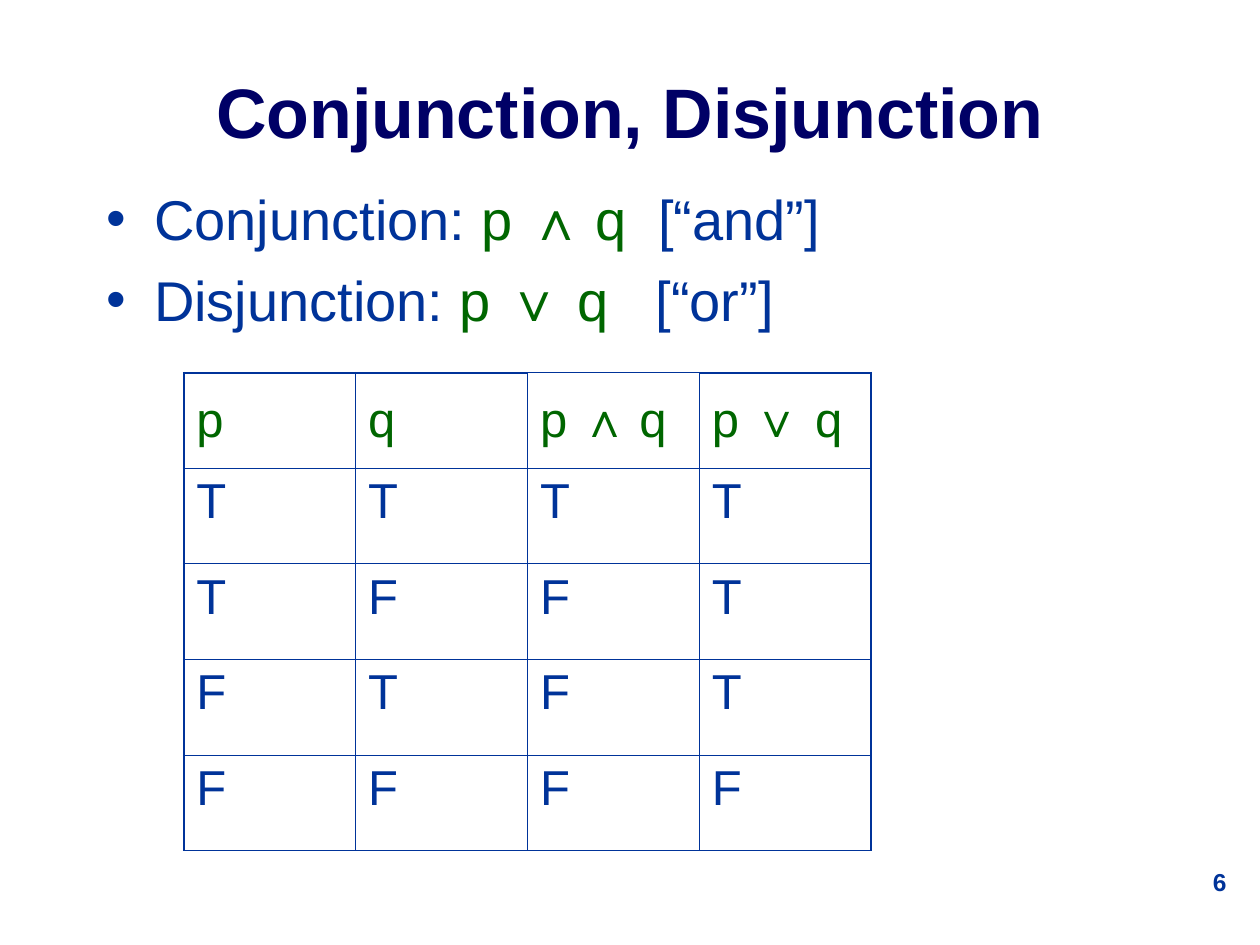
from lxml.etree import SubElement
from pptx import Presentation
from pptx.dml.color import RGBColor
from pptx.enum.text import MSO_ANCHOR, PP_ALIGN
from pptx.oxml.ns import qn
from pptx.util import Pt

NAVY, BLUE, GREEN = "000066", "003399", "006600"


def add_run(p, text, size, color, bold=False):
    r = p.add_run()
    r.text = text
    r.font.name = "Arial"
    r.font.size = Pt(size)
    r.font.bold = bold
    r.font.color.rgb = RGBColor.from_string(color)


def add_border(cell, side, width):
    ln = SubElement(cell._tc.get_or_add_tcPr(), qn(f"a:ln{side}"), w=str(Pt(width)))
    fill = SubElement(ln, qn("a:solidFill"))
    SubElement(fill, qn("a:srgbClr"), val=BLUE)


prs = Presentation()
prs.slide_width, prs.slide_height = Pt(720), Pt(540)
s = prs.slides.add_slide(prs.slide_layouts[5])

title = s.shapes.title
title.left, title.top, title.width, title.height = Pt(54), Pt(36), Pt(612), Pt(54)
tf = title.text_frame
tf.vertical_anchor = MSO_ANCHOR.MIDDLE
p = tf.paragraphs[0]
p.alignment = PP_ALIGN.CENTER
add_run(p, "Conjunction, Disjunction", 40, NAVY, bold=True)

definitions = [
    [("Conjunction: ", 32, BLUE), ("p ∧", 32, GREEN), (" ", 24, GREEN),
     ("q", 32, GREEN), ("  [“and”]", 32, BLUE)],
    [("Disjunction: ", 32, BLUE), ("p ∨ q", 32, GREEN), ("   [“or”]", 32, BLUE)],
]
tf = s.shapes.add_textbox(Pt(54), Pt(102), Pt(612), Pt(378)).text_frame
tf.word_wrap = True
for i, runs in enumerate(definitions):
    p = tf.add_paragraph() if i else tf.paragraphs[0]
    p.space_before = Pt(8)
    pPr = p._p.get_or_add_pPr()
    pPr.set("marL", str(Pt(27)))
    pPr.set("indent", str(-Pt(27)))
    color = SubElement(pPr, qn("a:buClr"))
    SubElement(color, qn("a:srgbClr"), val=BLUE)
    SubElement(pPr, qn("a:buFont"), typeface="Arial")
    SubElement(pPr, qn("a:buChar"), char="•")
    for run in runs:
        add_run(p, *run)

headers = [
    [("p", 28)],
    [("q", 28)],
    [("p ∧", 28), (" ", 20), ("q", 28)],
    [("p ∨ q", 28)],
]
truth_rows = ["TTTT", "TFFT", "FTFT", "FFFF"]
n_rows, n_cols = len(truth_rows) + 1, len(headers)
col_w, row_h = 98.2, 54.6
thin, thick = 0.45, 1.08

table = s.shapes.add_table(n_rows, n_cols, Pt(105), Pt(213),
                           Pt(col_w * n_cols), Pt(row_h * n_rows)).table
table.first_row = table.horz_banding = False
for col in table.columns:
    col.width = Pt(col_w)
for row in table.rows:
    row.height = Pt(row_h)

for i in range(n_rows):
    for j in range(n_cols):
        cell = table.cell(i, j)
        add_border(cell, "L", thick if j == 0 else thin)
        add_border(cell, "R", thick if j == n_cols - 1 else thin)
        add_border(cell, "T", thick if i == 0 and j != 2 else thin)
        add_border(cell, "B", thick if i == n_rows - 1 else thin)
        cell.fill.background()
        p = cell.text_frame.paragraphs[0]
        p.space_before = Pt(7)
        if i == 0:
            cell.vertical_anchor = MSO_ANCHOR.MIDDLE
            for text, size in headers[j]:
                add_run(p, text, size, GREEN)
        else:
            add_run(p, truth_rows[i - 1][j], 28, BLUE)

tf = s.shapes.add_textbox(Pt(558), Pt(492), Pt(150), Pt(36)).text_frame
tf.word_wrap = True
p = tf.paragraphs[0]
p.alignment = PP_ALIGN.RIGHT
add_run(p, "6", 14, BLUE, bold=True)

prs.save("out.pptx")
